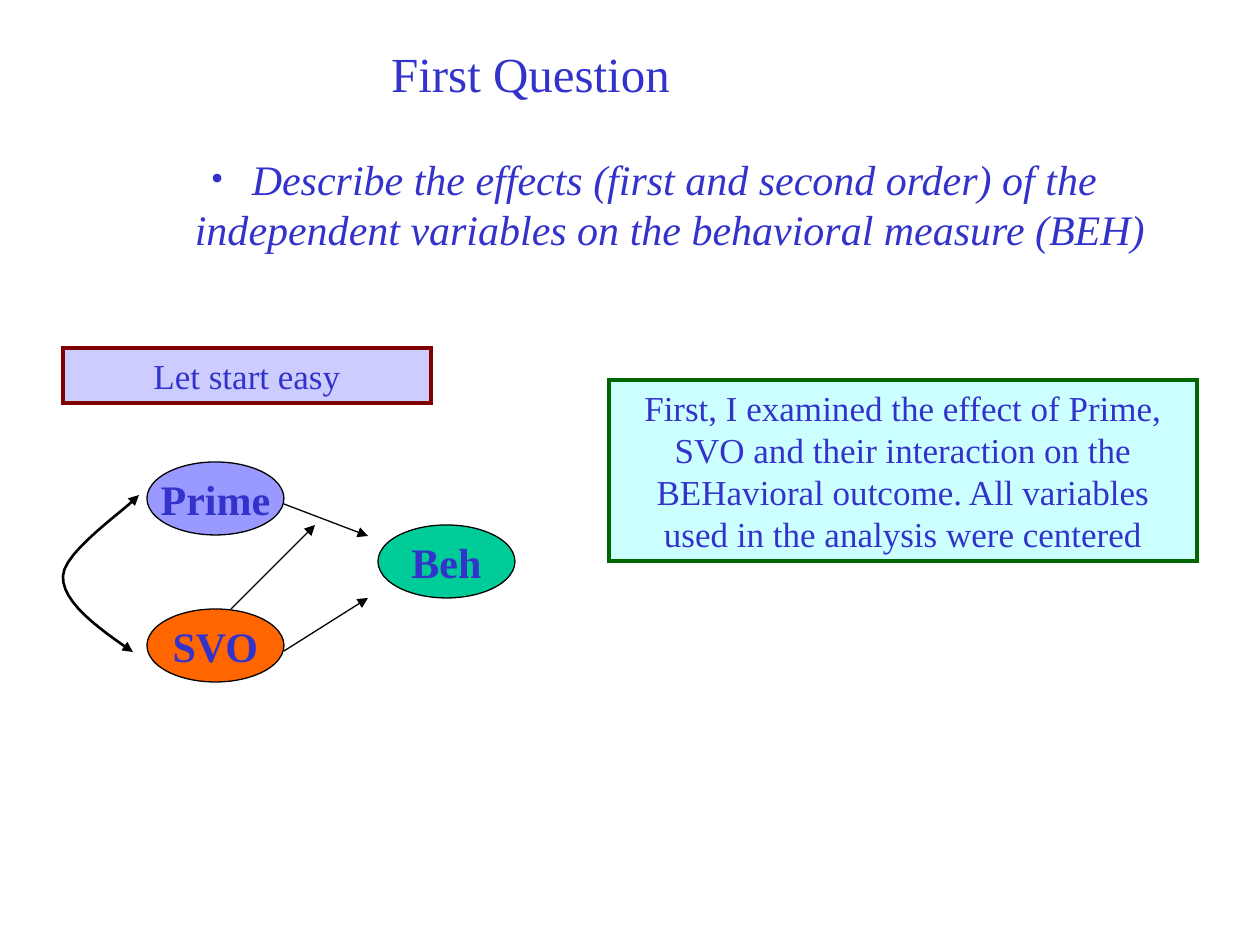
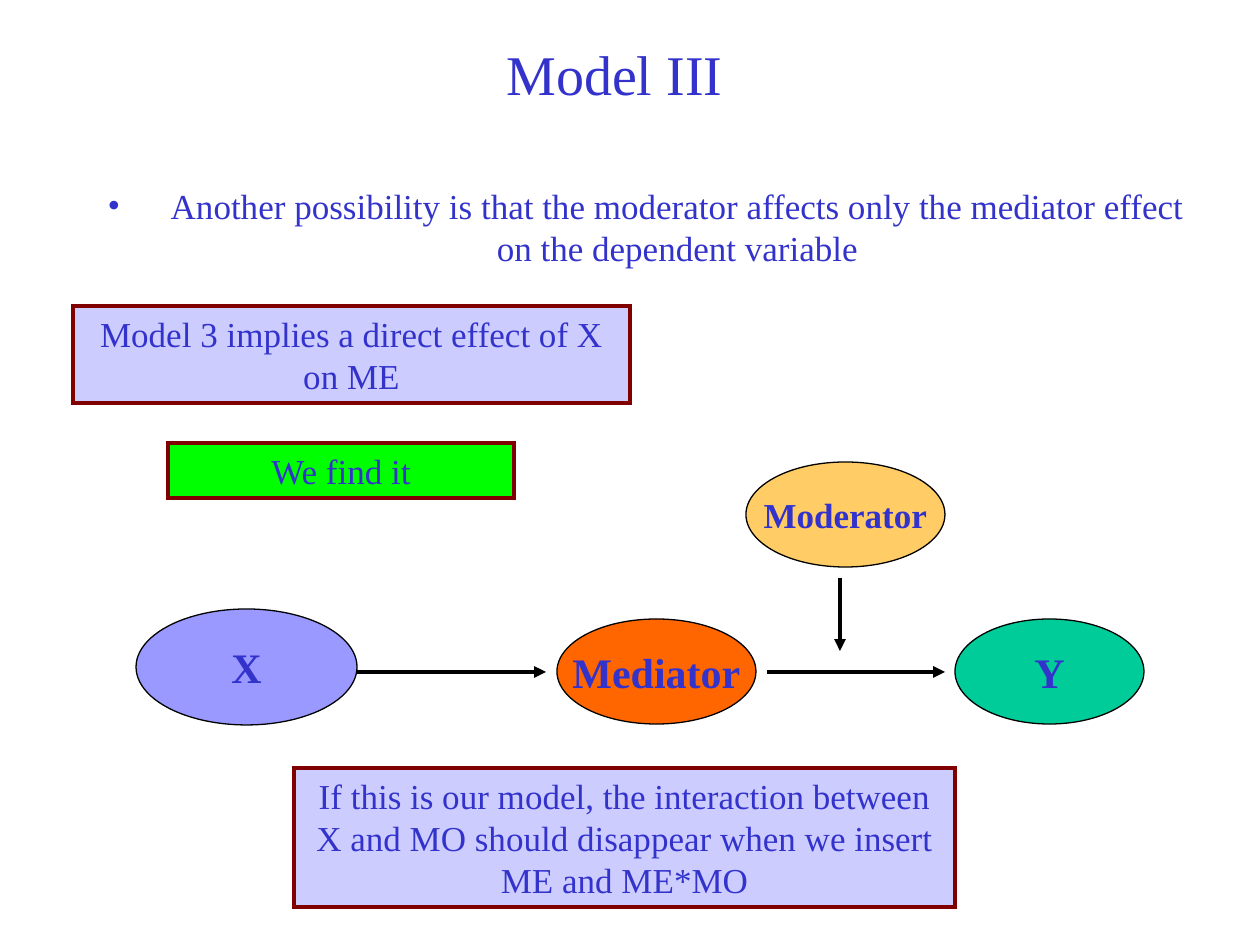
"""Build two slides on moderated mediation models."""
from lxml.etree import SubElement
from pptx import Presentation
from pptx.dml.color import RGBColor
from pptx.enum.shapes import MSO_CONNECTOR, MSO_SHAPE
from pptx.enum.text import MSO_ANCHOR, PP_ALIGN
from pptx.oxml.ns import qn
from pptx.util import Emu, Pt

PX = 914400 / 126
FINE = 100
FONT = "Times New Roman"
HUES = {
    "text": "3333CC", "black": "000000", "lilac": "CCCCFF", "wine": "800000",
    "cyan": "CCFFFF", "forest": "006600", "lime": "00FF00", "teal": "00CC99",
    "violet": "9999FF", "orange": "FF6600", "sand": "FFCC66",
}
RECT, OVAL = MSO_SHAPE.RECTANGLE, MSO_SHAPE.OVAL


def put(slide, box, runs, kind=None, fill=None, edge=None, indent=None):
    """Place a text box, or a filled shape when a kind is given."""
    place = [Emu(round(n * PX)) for n in box]
    if kind is None:
        shape = slide.shapes.add_textbox(*place)
    else:
        shape = slide.shapes.add_shape(kind, *place)
        shape.shadow.inherit = False
        shape.fill.solid()
        shape.fill.fore_color.rgb = RGBColor.from_string(HUES[fill])
        shape.line.color.rgb = RGBColor.from_string(HUES[edge])
        shape.line.width = Pt(0.75 if kind == OVAL else 2.25)
        SubElement(shape._element.spPr.find(qn("a:ln")), qn("a:miter"), lim="800000")
    frame = shape.text_frame
    frame.word_wrap = kind != OVAL
    frame.vertical_anchor = MSO_ANCHOR.MIDDLE if indent is None else MSO_ANCHOR.TOP
    para = frame.paragraphs[0]
    para.alignment = PP_ALIGN.CENTER
    if indent is not None:
        props = para._p.get_or_add_pPr()
        props.set("marL", str(round(indent * PX)))
        props.set("indent", str(-round(indent * PX)))
        SubElement(props, qn("a:buSzPct"), val="103000")
        SubElement(props, qn("a:buFont"), typeface=FONT)
        SubElement(props, qn("a:buChar"), char="•")
    for text, size, style in runs:
        run = para.add_run()
        run.text = text
        run.font.name = FONT
        run.font.size = Pt(size)
        run.font.bold = style == "bold"
        run.font.italic = style == "italic"
        run.font.color.rgb = RGBColor.from_string(HUES["text"])


def ink(shape, width, ends):
    """Give a line its black stroke and arrowheads, with no shadow."""
    shape.line.color.rgb = RGBColor.from_string(HUES["black"])
    shape.line.width = Pt(width)
    props = shape._element.spPr
    for end in ends:
        SubElement(props.find(qn("a:ln")), qn(f"a:{end}"), type="triangle")
    SubElement(props, qn("a:effectLst"))


deck = Presentation()
deck.slide_width = Emu(round(1260 * PX))
deck.slide_height = Emu(round(945 * PX))

pages = [
    {
        "title": ("First Question", 28, 126),
        "point": ((92, 147, 1124, 113), 32, [
            (" ", 20, "italic"),
            ("Describe the effects (first and second order) of the independent "
             "variables on the behavioral measure (BEH)", 24, "italic")]),
        "nodes": [
            ((378, 525, 137, 73), "Beh", 24, "teal"),
            ((147, 462, 137, 73), "Prime", 24, "violet"),
            ((147, 609, 137, 73), "SVO", 24, "orange"),
        ],
        "notes": [
            ((63, 348, 368, 55), "Let start easy", "lilac", "wine"),
            ((609, 380, 588, 181),
             "First, I examined the effect of Prime, SVO and their interaction on the "
             "BEHavioral outcome. All variables used in the analysis were centered",
             "cyan", "forest"),
        ],
        "links": [(284, 504, 368, 536), (284, 651, 368, 598), (231, 609, 315, 525)],
        "width": 0.75,
        "curves": [
            ((133, 652), (98, 628), (62, 602), (63, 576)),
            ((63, 576), (64, 551), (127, 509), (139, 495)),
        ],
    },
    {
        "title": ("Model III", 32, 210),
        "point": ((84, 178, 1124, 97), 63, [
            ("Another possibility is that the moderator affects only the mediator "
             "effect on the dependent variable", 20, None)]),
        "nodes": [
            ((955, 619, 189, 105), "Y", 24, "teal"),
            ((136, 609, 221, 116), "X", 24, "violet"),
            ((557, 619, 199, 105), "Mediator", 24, "orange"),
            ((746, 462, 199, 105), "Moderator", 20, "sand"),
        ],
        "notes": [
            ((73, 306, 557, 97), "Model 3 implies a direct effect of X on ME",
             "lilac", "wine"),
            ((168, 443, 346, 55), "We find it", "lime", "wine"),
            ((294, 768, 661, 139),
             "If this is our model, the interaction between X and MO should disappear "
             "when we insert ME and ME*MO", "lilac", "wine"),
        ],
        "links": [(357, 672, 546, 672), (767, 672, 945, 672), (840, 578, 840, 651)],
        "width": 2.25,
        "curves": [],
    },
]

for page in pages:
    slide = deck.slides.add_slide(deck.slide_layouts[6])
    title, size, left = page["title"]
    put(slide, (left, 31, 809, 84), [(title, size, None)])
    box, indent, runs = page["point"]
    put(slide, box, runs, indent=indent)
    for box, text, size, fill in page["nodes"]:
        put(slide, box, [(text, size, "bold")], OVAL, fill, "black")
    for box, text, fill, edge in page["notes"]:
        put(slide, box, [(text, 20, None)], RECT, fill, edge)
    for ends in page["links"]:
        link = slide.shapes.add_connector(
            MSO_CONNECTOR.STRAIGHT, *[Emu(round(n * PX)) for n in ends])
        ink(link, page["width"], ["tailEnd"])
    dots = []
    for curve in page["curves"]:
        for step in range(13):
            t = step / 12
            parts = ((1 - t) ** 3, 3 * t * (1 - t) ** 2, 3 * t * t * (1 - t), t ** 3)
            dots.append([FINE * sum(w * n for w, n in zip(parts, axis))
                         for axis in zip(*curve)])
    if dots:
        trail = slide.shapes.build_freeform(*dots[0], scale=PX / FINE)
        trail.add_line_segments(dots[1:], close=False)
        arc = trail.convert_to_shape()
        arc.fill.background()
        ink(arc, 1.5, ["headEnd", "tailEnd"])

deck.save("out.pptx")
